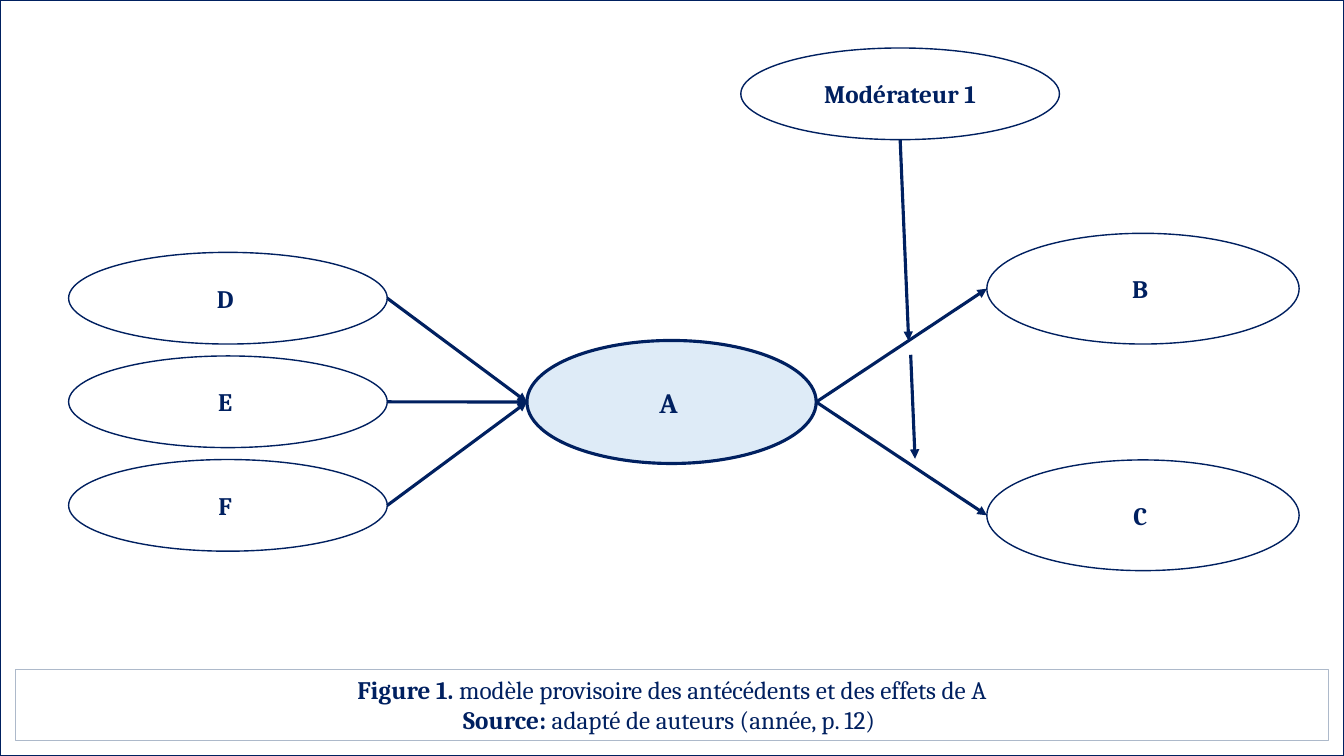
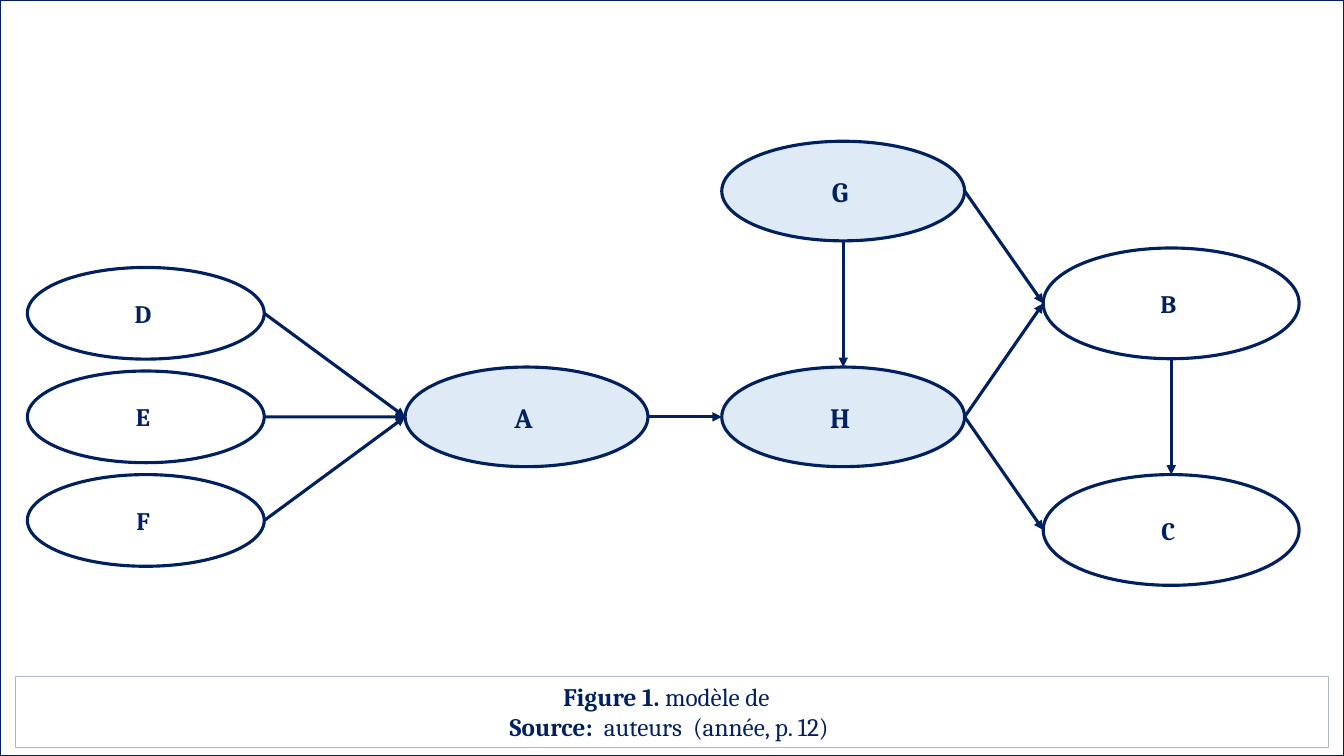
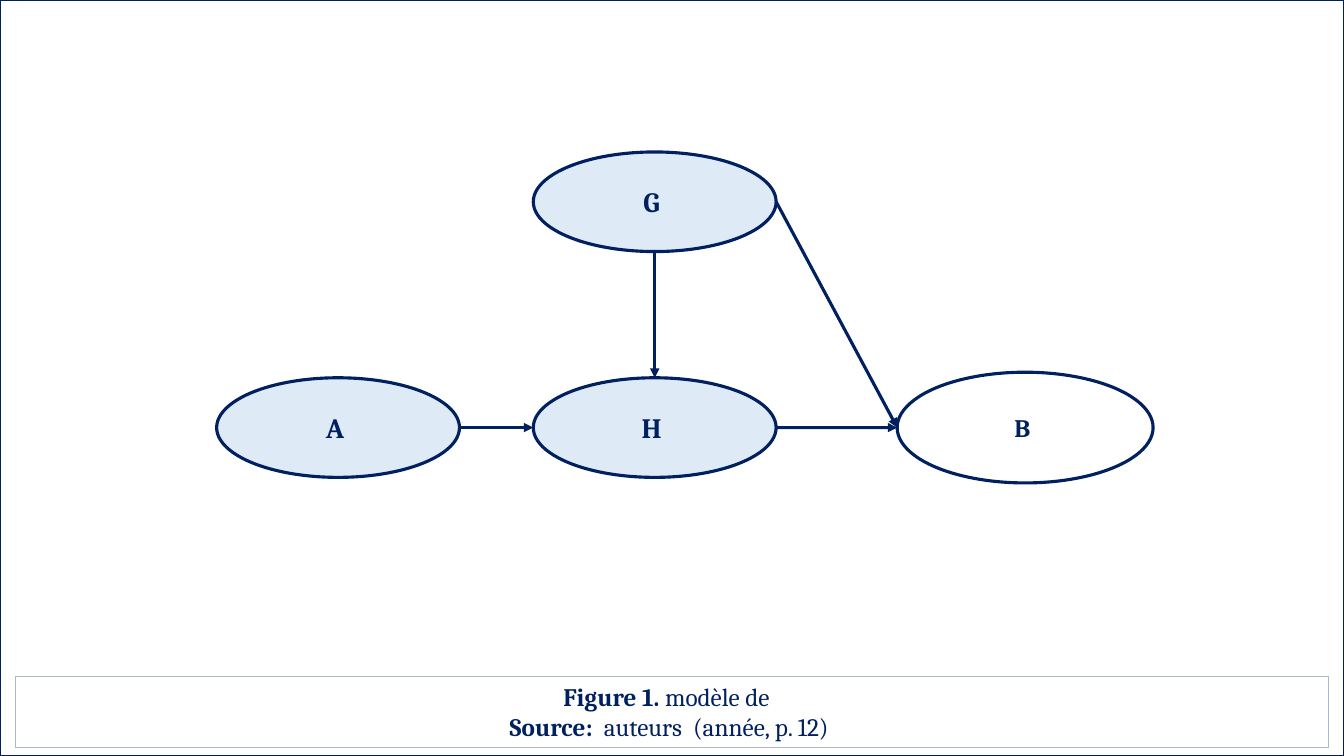
from pptx import Presentation
from pptx.dml.color import RGBColor
from pptx.enum.shapes import MSO_CONNECTOR as CONN, MSO_SHAPE as SHAPE
from pptx.enum.text import MSO_ANCHOR as ANCHOR, MSO_AUTO_SIZE as AUTO, PP_ALIGN as ALIGN
from pptx.oxml.ns import qn
from pptx.util import Cm, Pt
from lxml.etree import SubElement

COLORS = {"navy": "002060", "pale": "DEEBF7", "white": "FFFFFF", "border": "ADB9CA"}
FONT = "Cambria"
SLIDE_W, SLIDE_H = 33.87, 19.05
THIN, THICK = 1, 2.25
TOP, LEFT, BOTTOM, RIGHT = range(4)


def rgb(name):
    return RGBColor.from_string(COLORS[name])


def set_line(sp, color, width):
    sp.line.color.rgb = rgb(color)
    sp.line.width = Pt(width)


def add_run(p, text, size=18, bold=True):
    r = p.add_run()
    r.text = text
    r.font.name = FONT
    r.font.size = Pt(size)
    r.font.bold = bold
    r.font.color.rgb = rgb("navy")


def add_panel(slide, kind, box, fill, line_pt):
    sp = slide.shapes.add_shape(kind, *map(Cm, box))
    sp.shadow.inherit = False
    sp.fill.solid()
    sp.fill.fore_color.rgb = rgb(fill)
    set_line(sp, "navy", line_pt)
    return sp


def add_concept(slide, text, box, line_pt=THICK, fill="white", size=18):
    sp = add_panel(slide, SHAPE.OVAL, box, fill, line_pt)
    tf = sp.text_frame
    tf.word_wrap = True
    tf.vertical_anchor = ANCHOR.MIDDLE
    p = tf.paragraphs[0]
    p.alignment = ALIGN.CENTER
    add_run(p, text, size)
    return sp


def add_key_concept(slide, text, box):
    return add_concept(slide, text, box, fill="pale", size=20)


def add_arrow(slide, x1=0, y1=0, x2=0, y2=0):
    cx = slide.shapes.add_connector(CONN.STRAIGHT, Cm(x1), Cm(y1), Cm(x2), Cm(y2))
    set_line(cx, "navy", THICK)
    SubElement(cx.line._get_or_add_ln(), qn("a:tailEnd"), type="triangle")
    SubElement(cx._element.spPr, qn("a:effectLst"))
    return cx


def link(slide, source, target, start=RIGHT, end=LEFT):
    """Join two ellipses; an ellipse has eight sites, so each side index doubles."""
    cx = add_arrow(slide)
    cx.begin_connect(source, start)
    cx.end_connect(target, end)
    for tag, side in (("a:stCxn", start), ("a:endCxn", end)):
        next(cx._element.iter(qn(tag))).set("idx", str(2 * side))


def add_antecedents(slide, left, top, width, target, line_pt=THICK):
    """Stack D, E and F, each pointing at the target."""
    height, pitch = 2.31, 2.61
    for i, name in enumerate("DEF"):
        box = (left, top + i * pitch, width, height)
        link(slide, add_concept(slide, name + " ", box, line_pt), target)


def add_effects(slide, left, top, width, names="BC", line_pt=THICK):
    height, pitch = 2.79, 5.71
    return [add_concept(slide, name + " ", (left, top + i * pitch, width, height), line_pt)
            for i, name in enumerate(names)]


def add_mediation(slide, left, top):
    """Place A and H side by side with G above H; return G and H and A."""
    width, height, dx, dy = 6.12, 2.51, 7.98, 5.69
    a, h, g = (add_key_concept(slide, name + " ", (left + col * dx, top + row * dy, width, height))
               for name, col, row in (("A", 0, 1), ("H", 1, 1), ("G", 1, 0)))
    link(slide, a, h)
    link(slide, g, h, BOTTOM, TOP)
    return g, h, a


def add_caption(slide, top, figure, source):
    margin = 0.38
    sp = slide.shapes.add_textbox(Cm(margin), Cm(top), Cm(SLIDE_W - 2 * margin), Cm(1.8))
    set_line(sp, "border", 0.75)
    tf = sp.text_frame
    tf.word_wrap = True
    tf.auto_size = AUTO.SHAPE_TO_FIT_TEXT
    for i, (label, text) in enumerate((("Figure 1. ", figure), ("Source: ", source))):
        p = tf.add_paragraph() if i else tf.paragraphs[0]
        p.alignment = ALIGN.CENTER
        add_run(p, label)
        add_run(p, text, bold=False)


def add_figure_slide(prs, caption_top=17.04, figure="modèle de  ",
                     source=" auteurs  (année, p. 12) "):
    slide = prs.slides.add_slide(prs.slide_layouts[6])
    add_panel(slide, SHAPE.RECTANGLE, (0, 0, SLIDE_W, SLIDE_H), "white", THIN)
    add_caption(slide, caption_top, figure, source)
    return slide


def moderation_slide(prs):
    slide = add_figure_slide(prs, 16.87, "modèle provisoire des antécédents et des effets de A",
                             "adapté de auteurs (année, p. 12) ")
    a = add_key_concept(slide, "A ", (13.28, 8.58, 7.29, 3.1))
    add_antecedents(slide, 1.73, 6.36, 8.03, a, THIN)
    for effect in add_effects(slide, 24.87, 5.88, 7.87, line_pt=THIN):
        link(slide, a, effect)
    moderator = add_concept(slide, "Modérateur 1", (18.67, 1.21, 8.03, 2.31), THIN)
    to_upper_path = add_arrow(slide, x2=22.9, y2=8.59)
    to_upper_path.begin_connect(moderator, BOTTOM)
    next(to_upper_path._element.iter(qn("a:stCxn"))).set("idx", str(2 * BOTTOM))
    add_arrow(slide, 22.95, 8.94, 23.06, 11.56)


def full_model_slide(prs):
    slide = add_figure_slide(prs)
    g, h, a = add_mediation(slide, 10.21, 3.56)
    add_antecedents(slide, 0.69, 6.74, 5.97, a)
    b, c = add_effects(slide, 26.29, 6.25, 6.45)
    link(slide, b, c, BOTTOM, TOP)
    for source, target in ((g, b), (h, b), (h, c)):
        link(slide, source, target)


def mediation_slide(prs):
    slide = add_figure_slide(prs)
    g, h, _ = add_mediation(slide, 5.46, 3.83)
    [b] = add_effects(slide, 22.61, 9.38, 6.45, "B")
    for source in (g, h):
        link(slide, source, b)


def main():
    prs = Presentation()
    prs.slide_width, prs.slide_height = Cm(SLIDE_W), Cm(SLIDE_H)
    moderation_slide(prs)
    full_model_slide(prs)
    mediation_slide(prs)
    prs.save("out.pptx")


if __name__ == "__main__":
    main()
